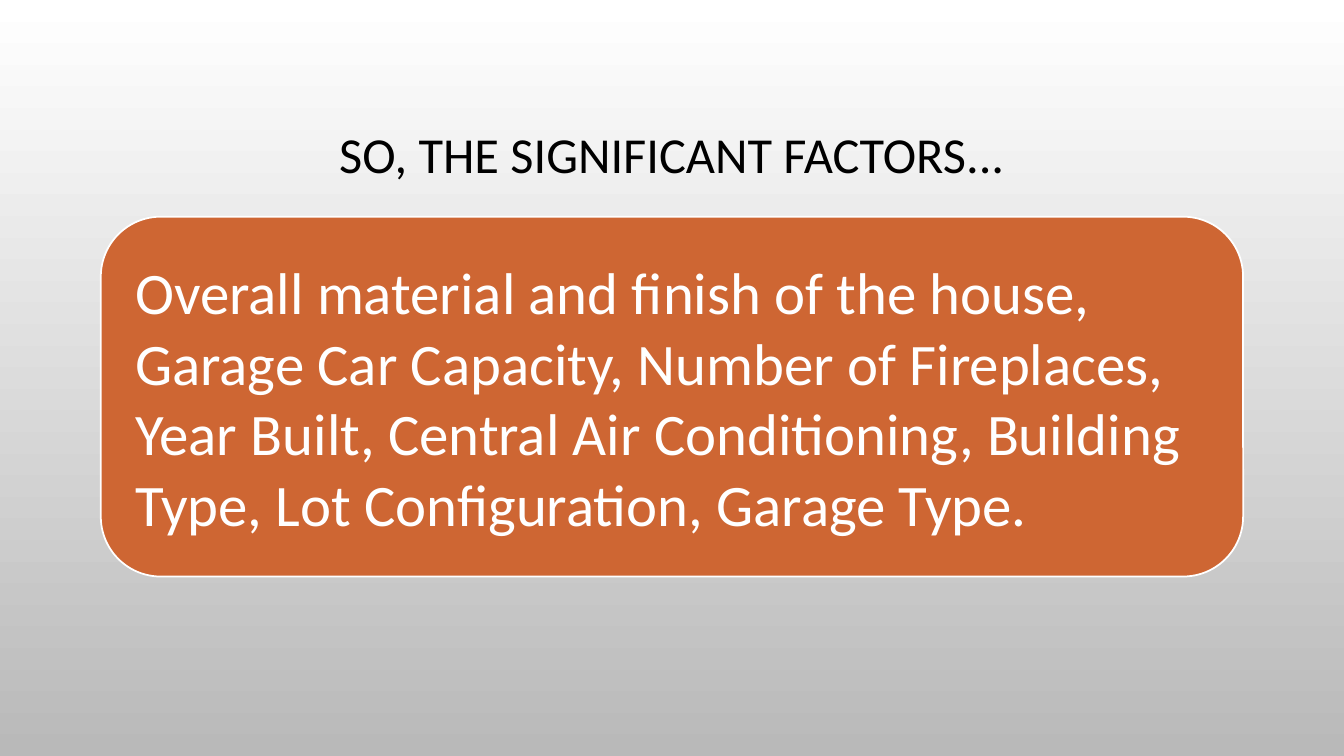
from dataclasses import dataclass

from pptx import Presentation
from pptx.dml.color import RGBColor
from pptx.enum.shapes import MSO_SHAPE
from pptx.enum.text import MSO_ANCHOR, PP_ALIGN
from pptx.slide import Slide
from pptx.util import Inches, Pt

WHITE = RGBColor(0xFF, 0xFF, 0xFF)
GREY = RGBColor(0xB9, 0xB9, 0xB9)
ORANGE = RGBColor(0xCE, 0x66, 0x33)
BLACK = RGBColor(0, 0, 0)


@dataclass(frozen=True)
class Label:
    text: str
    box: tuple[float, float, float, float]
    size: int
    color: RGBColor
    align: PP_ALIGN
    spacing: float
    inset_x: float
    inset_y: float


LABELS = [
    Label("Overall material and finish of the house, Garage Car Capacity, "
          "Number of Fireplaces, Year Built, Central Air Conditioning, "
          "Building Type, Lot Configuration, Garage Type.",
          (1.17, 2.33, 10.98, 3.22), 42, WHITE, PP_ALIGN.LEFT, 1.0, 0.17, 0.17),
    Label("SO, THE SIGNIFICANT FACTORS...",
          (1, 0.68, 11.33, 1.75), 36, BLACK, PP_ALIGN.CENTER, 0.9, 0.1, 0.05),
]


def set_background(s: Slide) -> None:
    fill = s.background.fill
    fill.gradient()
    fill.gradient_angle = 270
    for stop, position, color in zip(fill.gradient_stops, (0, 1), (WHITE, GREY)):
        stop.position = position
        stop.color.rgb = color


def add_panel(s: Slide) -> None:
    box = map(Inches, (1, 2.15, 11.33, 3.57))
    sp = s.shapes.add_shape(MSO_SHAPE.ROUNDED_RECTANGLE, *box)
    sp.shadow.inherit = False
    sp.fill.solid()
    sp.fill.fore_color.rgb = ORANGE
    sp.line.color.rgb = WHITE
    sp.line.width = Pt(1.25)


def add_label(s: Slide, label: Label) -> None:
    tf = s.shapes.add_textbox(*map(Inches, label.box)).text_frame
    frame_format = {
        "word_wrap": True,
        "vertical_anchor": MSO_ANCHOR.MIDDLE,
        "margin_left": Inches(label.inset_x),
        "margin_right": Inches(label.inset_x),
        "margin_top": Inches(label.inset_y),
        "margin_bottom": Inches(label.inset_y),
    }
    for name, value in frame_format.items():
        setattr(tf, name, value)
    p = tf.paragraphs[0]
    p.alignment = label.align
    p.line_spacing = label.spacing
    r = p.add_run()
    r.text = label.text
    for name, value in {"name": "Calibri", "size": Pt(label.size)}.items():
        setattr(r.font, name, value)
    r.font.color.rgb = label.color


def main() -> None:
    prs = Presentation()
    prs.slide_width, prs.slide_height = Inches(13.33), Inches(7.5)
    s = prs.slides.add_slide(prs.slide_layouts[6])

    # Backdrop and panel
    set_background(s)
    add_panel(s)

    # Factors and title
    for label in LABELS:
        add_label(s, label)

    prs.save("out.pptx")


if __name__ == "__main__":
    main()
